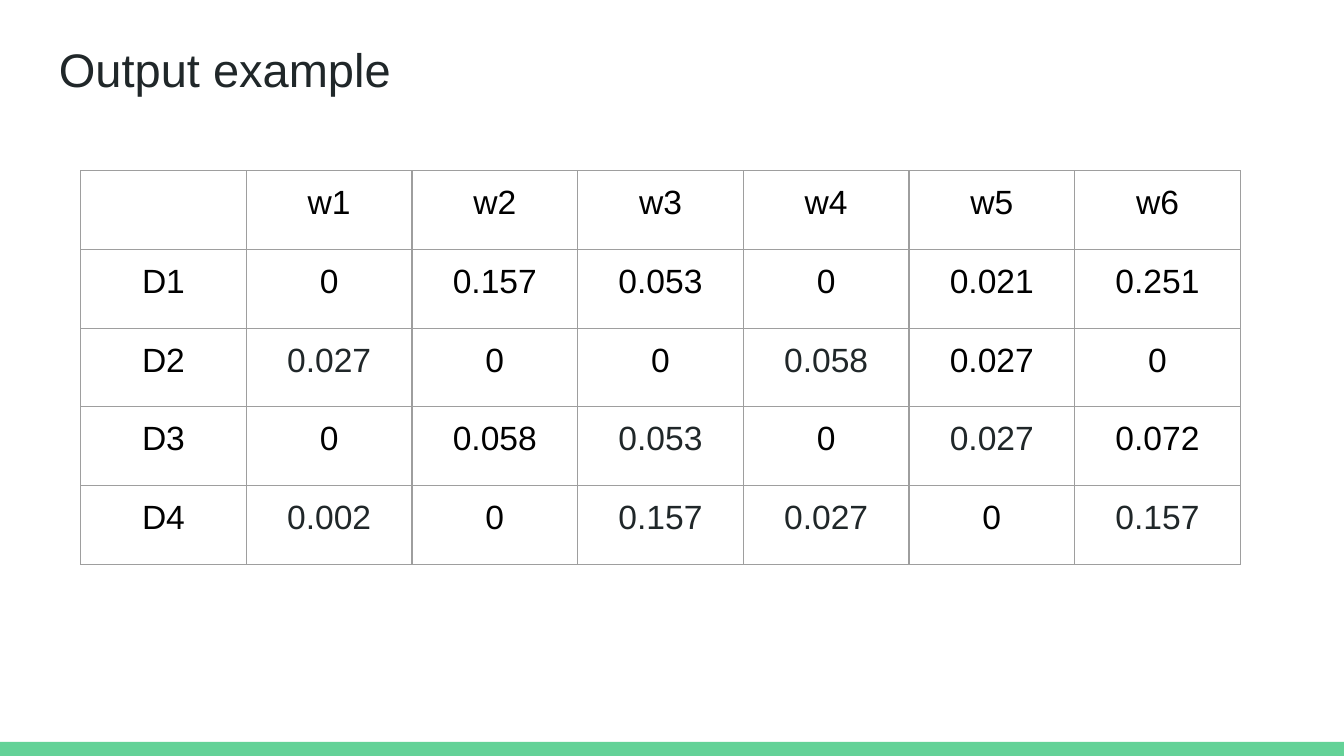
"""Build the "Output example" slide with a table of document-word weights."""
from lxml.etree import SubElement
from pptx import Presentation
from pptx.dml.color import RGBColor
from pptx.enum.shapes import MSO_SHAPE
from pptx.enum.text import MSO_ANCHOR, PP_ALIGN
from pptx.oxml.ns import qn
from pptx.util import Inches, Pt

TITLE = "Output example"
ROWS = [
    ["", "w1", "w2", "w3", "w4", "w5", "w6"],
    ["D1", "0", "0.157", "0.053", "0", "0.021", "0.251"],
    ["D2", "0.027", "0", "0", "0.058", "0.027", "0"],
    ["D3", "0", "0.058", "0.053", "0", "0.027", "0.072"],
    ["D4", "0.002", "0", "0.157", "0.027", "0", "0.157"],
]
SLATE_CELLS = {(2, 1), (2, 4), (3, 3), (3, 5), (4, 1), (4, 3), (4, 4), (4, 6)}
COLORS = {"slate": "202729", "black": "000000", "green": "63D297", "grid": "9E9E9E"}
FONT = "Arial"
WIDTH = 10
HEIGHT = WIDTH * 9 / 16
BAR_TOP = 5.52
TABLE_LEFT, TABLE_TOP, TABLE_W, TABLE_H = 0.6, 1.27, 8.63, 2.93
INSET = Inches(0.1)


def color(name):
    return RGBColor.from_string(COLORS[name])


def set_insets(box):
    box.margin_left = box.margin_right = INSET
    box.margin_top = box.margin_bottom = INSET


def write(tf, text, size, name):
    tf.text = text
    for r in tf.paragraphs[0].runs:
        r.font.name = FONT
        r.font.size = Pt(size)
        r.font.color.rgb = color(name)


def add_borders(cell):
    tc_pr = cell._tc.get_or_add_tcPr()
    for side in ("lnL", "lnR", "lnT", "lnB"):
        ln = SubElement(tc_pr, qn(f"a:{side}"), w=str(Pt(0.75)))
        fill = SubElement(ln, qn("a:solidFill"))
        SubElement(fill, qn("a:srgbClr"), val=COLORS["grid"])


def add_bar(s):
    sp = s.shapes.add_shape(MSO_SHAPE.RECTANGLE, 0, Inches(BAR_TOP),
                            Inches(WIDTH), Inches(HEIGHT - BAR_TOP))
    sp.shadow.inherit = False
    sp.fill.solid()
    sp.fill.fore_color.rgb = color("green")
    sp.line.fill.background()


def add_title(s):
    sp = s.shapes.add_textbox(Inches(0.34), Inches(0.2), Inches(9.32), Inches(0.63))
    tf = sp.text_frame
    tf.word_wrap = True
    tf.vertical_anchor = MSO_ANCHOR.TOP
    set_insets(tf)
    write(tf, TITLE, 25.2, "slate")


def add_weights(s):
    n_rows, n_cols = len(ROWS), len(ROWS[0])
    table = s.shapes.add_table(n_rows, n_cols, Inches(TABLE_LEFT), Inches(TABLE_TOP),
                               Inches(TABLE_W), Inches(TABLE_H)).table
    table.first_row = table.horz_banding = False
    for i, row in enumerate(ROWS):
        for j, text in enumerate(row):
            cell = table.cell(i, j)
            set_insets(cell)
            add_borders(cell)
            cell.fill.background()
            write(cell.text_frame, text, 18, "slate" if (i, j) in SLATE_CELLS else "black")
            cell.text_frame.paragraphs[0].alignment = PP_ALIGN.CENTER


def main():
    prs = Presentation()
    prs.slide_width, prs.slide_height = Inches(WIDTH), Inches(HEIGHT)
    s = prs.slides.add_slide(prs.slide_layouts[6])
    add_bar(s)
    add_title(s)
    add_weights(s)
    prs.save("out.pptx")


if __name__ == "__main__":
    main()
